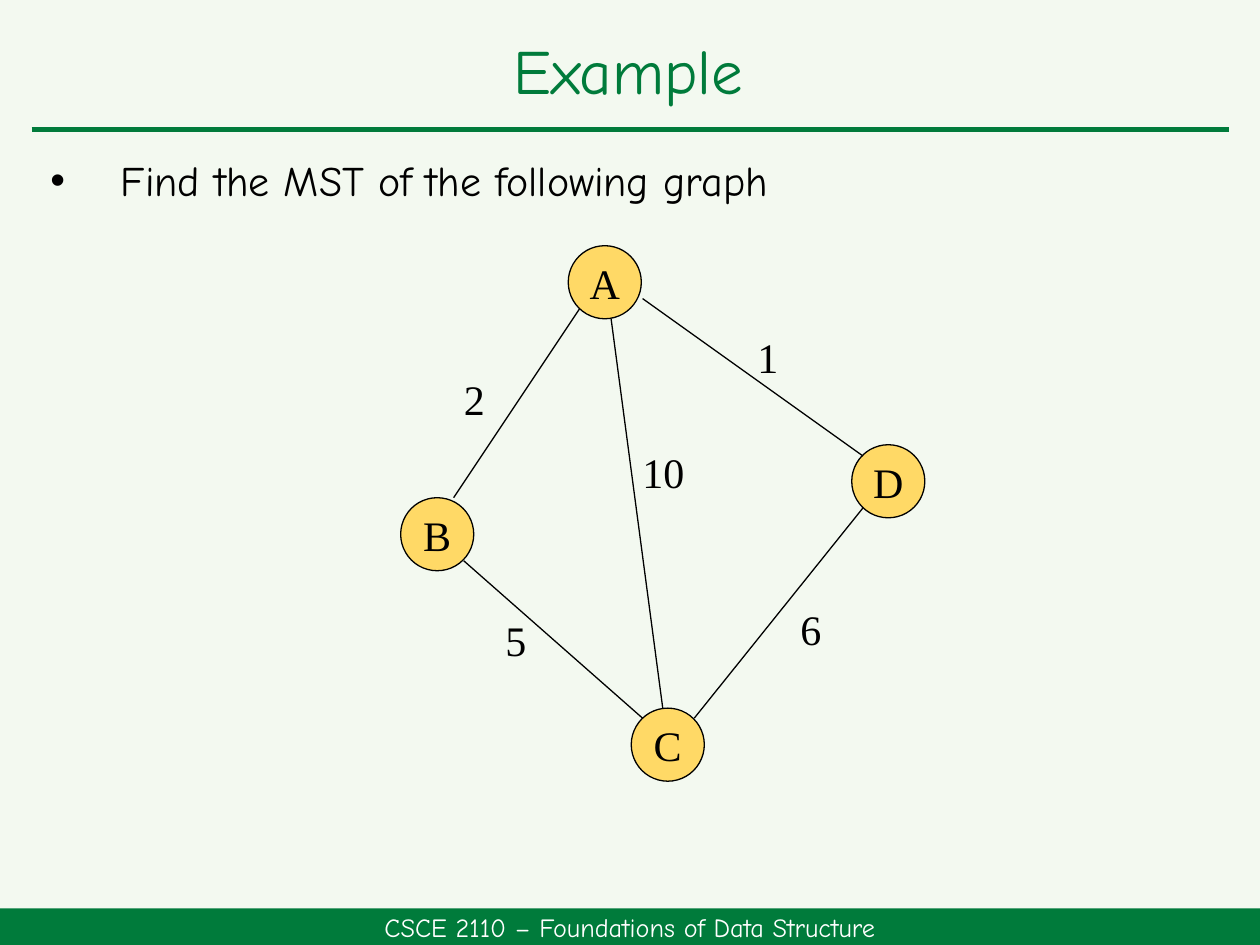
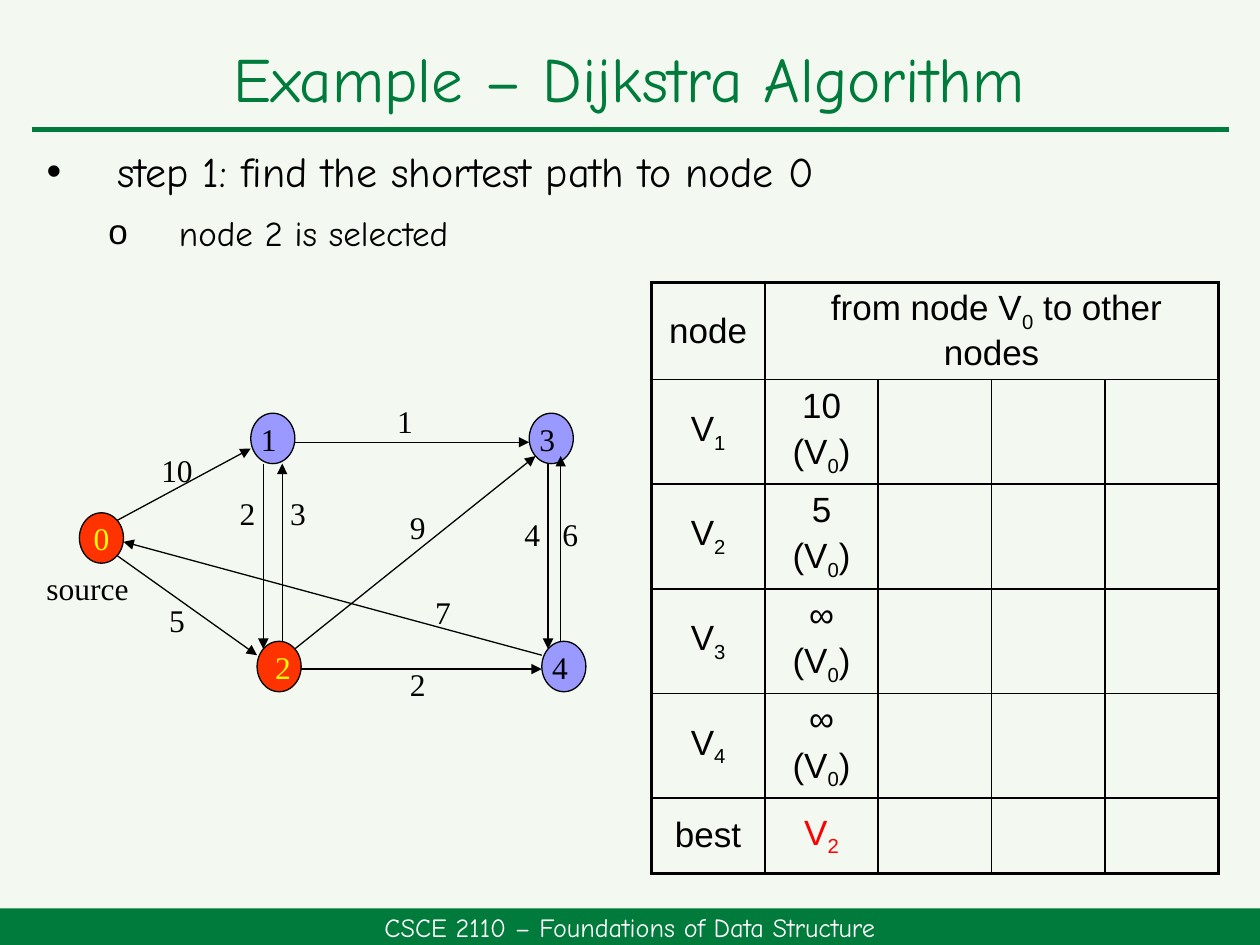
from pptx import Presentation
from pptx import util as u
from pptx.dml.color import RGBColor
from pptx.enum import shapes, text
from pptx.oxml.ns import qn
from lxml import etree

GREEN, BLACK, WHITE = "007B3B", "000000", "FFFFFF"
YELLOW, GOLD, RED, VIOLET = "FFFF00", "FFD966", "FF3300", "9999FF"
PALE_GREEN = "F3F9F0"
TITLE_FONT, GRAPH_FONT, TABLE_FONT = "Comic Neue", "Times New Roman", "Arial"
rgb = RGBColor.from_string


def style_text(paragraph, size, font, color, align=text.PP_ALIGN.CENTER):
    paragraph.alignment = align
    for run in paragraph.runs:
        run.font.size = u.Pt(size)
        run.font.name = font
        run.font.color.rgb = rgb(color)


def draw_line(slide, x1, y1, x2, y2, width=0.75, color=BLACK, arrow=False):
    line = slide.shapes.add_connector(
        shapes.MSO_CONNECTOR.STRAIGHT,
        u.Inches(x1), u.Inches(y1), u.Inches(x2), u.Inches(y2))
    line.line.color.rgb = rgb(color)
    line.line.width = u.Pt(width)
    properties = line._element.spPr
    if arrow:
        etree.SubElement(properties.find(qn("a:ln")), qn("a:tailEnd"), type="triangle")
    etree.SubElement(properties, qn("a:effectLst"))


prs = Presentation()
prs.slide_width, prs.slide_height = u.Inches(10), u.Inches(7.5)
background = prs.slide_master.background.fill
background.solid()
background.fore_color.rgb = rgb(PALE_GREEN)

# Content: bullets are (text, size, bullet, left margin, space before),
# nodes are (label, left, top, fill, text colour),
# captions are (label, left, top, width)
mst = dict(
    title="Example", title_box=(0.23, 0.17, 9.51, 0.83),
    body_box=(0.3, 1.18, 8.5, 0.58), body_spacing=1.0,
    bullets=[("Find the MST of the following graph", 24, "•", 0.56, 0)],
    node_size=(0.58, 0.58), caption_height=0.42, graph_points=24, directed=False,
    nodes=[("A", 4.51, 1.95, GOLD, BLACK), ("B", 3.18, 3.95, GOLD, BLACK),
           ("C", 5.01, 5.62, GOLD, BLACK), ("D", 6.76, 3.53, GOLD, BLACK)],
    edges=[(4.6, 2.45, 3.6, 3.95), (3.68, 4.45, 5.1, 5.7), (5.1, 2.37, 6.85, 3.62),
           (6.85, 4.03, 5.51, 5.7), (4.85, 2.53, 5.26, 5.62)],
    captions=[("2", 3.43, 2.95, 0.67), ("1", 5.76, 2.62, 0.67), ("10", 4.93, 3.53, 0.67),
              ("5", 3.76, 4.87, 0.67), ("6", 6.1, 4.78, 0.67)],
)
dijkstra = dict(
    title="Example – Dijkstra Algorithm", title_box=(0.24, 0.33, 9.5, 0.65),
    body_box=(0.27, 1.15, 9.5, 1.17), body_spacing=0.9,
    bullets=[("step 1: find the shortest path to node 0", 24, "•", 0.56, 0),
             ("node 2 is selected", 20, "o", 1.05, 5)],
    node_size=(0.35, 0.4), caption_height=0.34, graph_points=18, directed=True,
    nodes=[("0", 0.63, 4.07, RED, YELLOW), ("1 ", 1.99, 3.28, VIOLET, BLACK),
           (" 2", 2.04, 5.09, RED, YELLOW), ("3 ", 4.2, 3.28, VIOLET, BLACK),
           ("4 ", 4.3, 5.09, VIOLET, BLACK)],
    edges=[(0.93, 4.41, 2.04, 5.2), (0.93, 4.13, 1.99, 3.56), (2.34, 3.51, 4.2, 3.51),
           (2.39, 5.31, 4.3, 5.31), (4.35, 3.68, 4.35, 5.15), (4.45, 5.09, 4.45, 3.62),
           (2.09, 3.68, 2.09, 5.15), (2.24, 5.09, 2.24, 3.68), (2.34, 5.15, 4.25, 3.62),
           (4.3, 5.2, 0.98, 4.3)],
    captions=[("5", 1.18, 4.75, 0.45), ("10", 1.18, 3.56, 0.45), ("2", 1.74, 3.9, 0.45),
              ("3", 2.14, 3.9, 0.45), ("1", 2.99, 3.17, 0.45), ("2", 3.09, 5.26, 0.45),
              ("7", 3.29, 4.69, 0.45), ("4", 4, 4.07, 0.45), ("9", 3.09, 4.01, 0.45),
              ("6", 4.3, 4.07, 0.45), ("source", 0.32, 4.5, 0.75)],
)

for content in (mst, dijkstra):
    slide = prs.slides.add_slide(prs.slide_layouts[1])

    # Rule and footer band
    draw_line(slide, 0.25, 1.03, 9.75, 1.03, 3, GREEN)
    footer = slide.shapes.add_shape(
        shapes.MSO_SHAPE.RECTANGLE, 0, u.Inches(7.21), u.Inches(10), u.Inches(0.29))
    footer.shadow.inherit = False
    footer.fill.solid()
    footer.fill.fore_color.rgb = rgb(GREEN)
    footer.line.fill.background()
    footer.text_frame.text = "CSCE 2110 – Foundations of Data Structure"
    style_text(footer.text_frame.paragraphs[0], 15, TITLE_FONT, WHITE)

    # Title and bullets
    title, body = slide.shapes.title, slide.placeholders[1]
    for holder, box in ((title, content["title_box"]), (body, content["body_box"])):
        holder.left, holder.top, holder.width, holder.height = map(u.Inches, box)
        holder.text_frame.auto_size = text.MSO_AUTO_SIZE.NONE
    title.text_frame.text = content["title"]
    title.text_frame.vertical_anchor = text.MSO_ANCHOR.MIDDLE
    heading = title.text_frame.paragraphs[0]
    heading.line_spacing = 0.9
    style_text(heading, 36, TITLE_FONT, GREEN)

    body.text_frame.text = "\n".join(bullet[0] for bullet in content["bullets"])
    for level, (paragraph, bullet) in enumerate(
            zip(body.text_frame.paragraphs, content["bullets"])):
        _, size, mark, margin, before = bullet
        paragraph.level = level
        paragraph.line_spacing = content["body_spacing"]
        paragraph.space_before, paragraph.space_after = u.Pt(before), u.Pt(6)
        properties = paragraph._p.get_or_add_pPr()
        properties.set("marL", str(u.Inches(margin)))
        properties.set("indent", str(u.Inches(-0.56)))
        etree.SubElement(properties, qn("a:buFont"), typeface="Arial")
        etree.SubElement(properties, qn("a:buChar"), char=mark)
        style_text(paragraph, size, TITLE_FONT, BLACK, text.PP_ALIGN.LEFT)

    # Graph: nodes, edges and captions
    node_size = [u.Inches(side) for side in content["node_size"]]
    labels = []
    for label, left, top, fill, color in content["nodes"]:
        node = slide.shapes.add_shape(
            shapes.MSO_SHAPE.OVAL, u.Inches(left), u.Inches(top), *node_size)
        node.shadow.inherit = False
        node.fill.solid()
        node.fill.fore_color.rgb = rgb(fill)
        node.line.color.rgb = rgb(BLACK)
        node.line.width = u.Pt(0.75)
        labels.append((node, label, color))
    for edge in content["edges"]:
        draw_line(slide, *edge, arrow=content["directed"])
    for label, left, top, width in content["captions"]:
        caption = slide.shapes.add_textbox(
            u.Inches(left), u.Inches(top),
            u.Inches(width), u.Inches(content["caption_height"]))
        caption.text_frame.margin_left = caption.text_frame.margin_right = 0
        labels.append((caption, label, BLACK))
    for holder, label, color in labels:
        frame = holder.text_frame
        frame.text = label
        frame.word_wrap = False
        frame.vertical_anchor = text.MSO_ANCHOR.MIDDLE
        style_text(frame.paragraphs[0], content["graph_points"], GRAPH_FONT, color)

# Distance table on the last slide; "_" puts the next character in subscript
distances = [["node", " from node V_0 to other nodes"],
             ["V_1", "10\n(V_0)"], ["V_2", "5\n(V_0)"],
             ["V_3", "∞\n(V_0)"], ["V_4", "∞\n(V_0)"], ["best", "V_2"]]
row_heights = [0.77, 0.83, 0.83, 0.83, 0.83, 0.6]
column_count, last_row = 5, len(distances) - 1
table = slide.shapes.add_table(
    len(distances), column_count, u.Inches(5.17), u.Inches(2.24),
    u.Inches(4.5), u.Inches(sum(row_heights))).table
table.first_row = table.horz_banding = False
for column in table.columns:
    column.width = u.Inches(0.9)
for row, height in zip(table.rows, row_heights):
    row.height = u.Inches(height)
table.cell(0, 1).merge(table.cell(0, column_count - 1))

for r, entries in enumerate(distances):
    for c in range(column_count):
        cell = table.cell(r, c)
        cell.vertical_anchor = text.MSO_ANCHOR.MIDDLE
        cell.margin_top = cell.margin_bottom = u.Inches(0.03)

        # Borders: thick around the table, thin inside
        properties = cell._tc.get_or_add_tcPr()
        reaches_right = c + cell.span_width >= column_count
        for side, outer in (("L", c == 0), ("R", reaches_right),
                            ("T", r == 0), ("B", r == last_row)):
            border = etree.SubElement(
                properties, qn(f"a:ln{side}"), w=str(u.Pt(2.25 if outer else 1)))
            solid = etree.SubElement(border, qn("a:solidFill"))
            etree.SubElement(solid, qn("a:srgbClr"), val=BLACK)
        cell.fill.background()

        if c >= len(entries):
            continue
        color = "FF0000" if (r, c) == (last_row, 1) else BLACK
        cell.text_frame.text = entries[c]
        for i, paragraph in enumerate(cell.text_frame.paragraphs):
            start, *subscripted = paragraph.text.split("_")
            paragraph.runs[0].text = start
            for part in subscripted:
                subscript = paragraph.add_run()
                subscript.text = part[0]
                subscript.font._element.set("baseline", "-25000")
                if part[1:]:
                    paragraph.add_run().text = part[1:]
            paragraph.space_before = u.Pt(4 if i else 0)
            style_text(paragraph, 20, TABLE_FONT, color)

prs.save("out.pptx")
